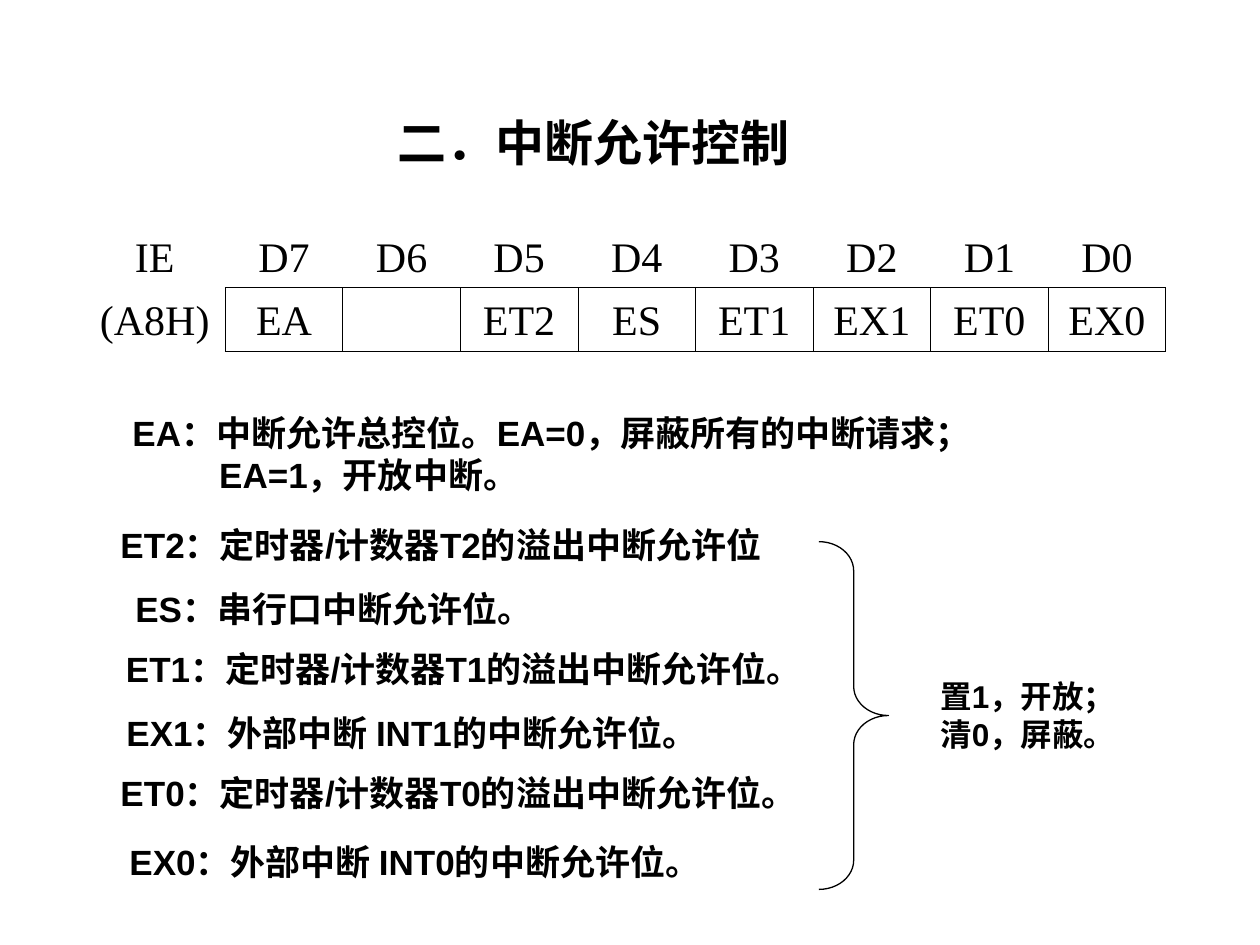
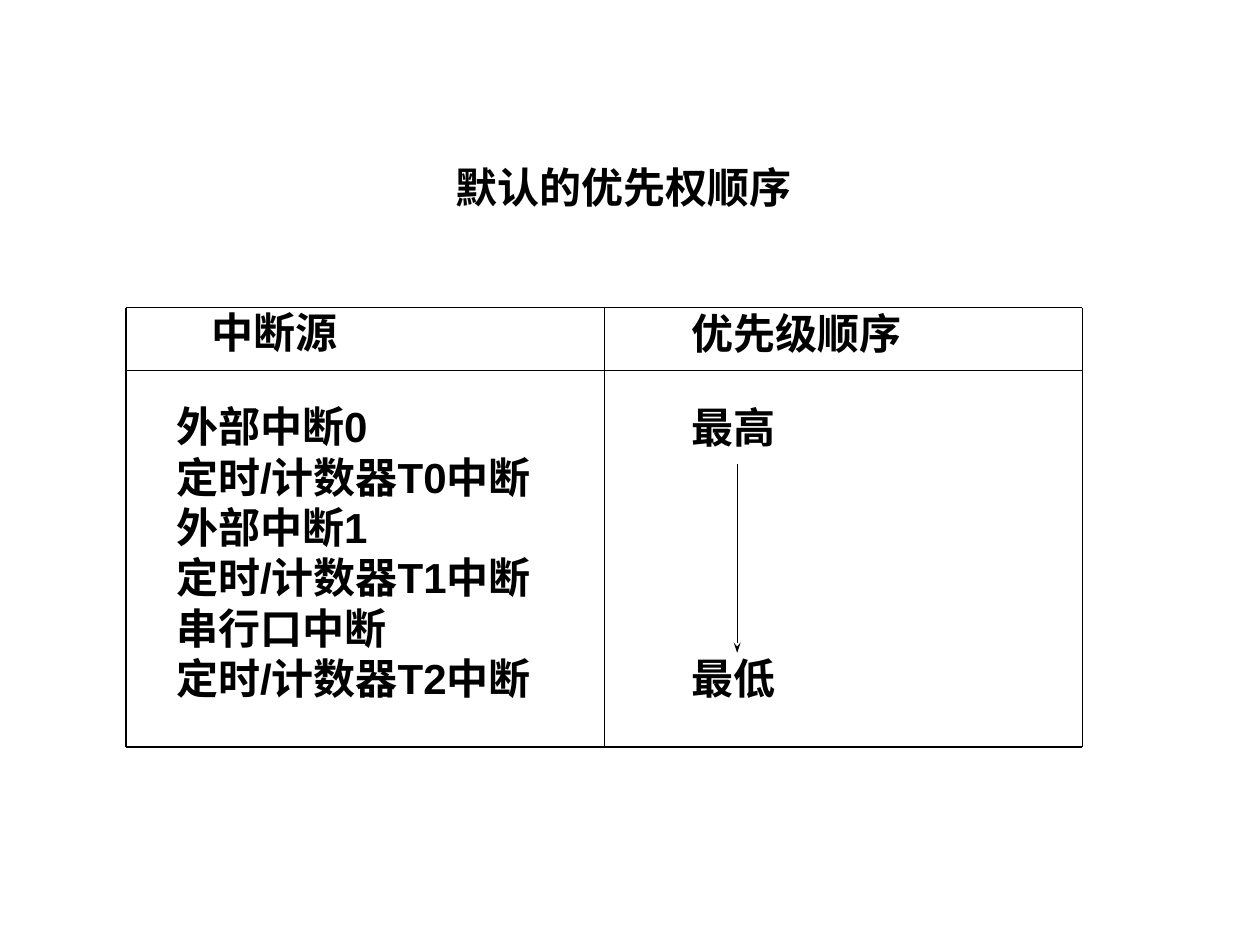
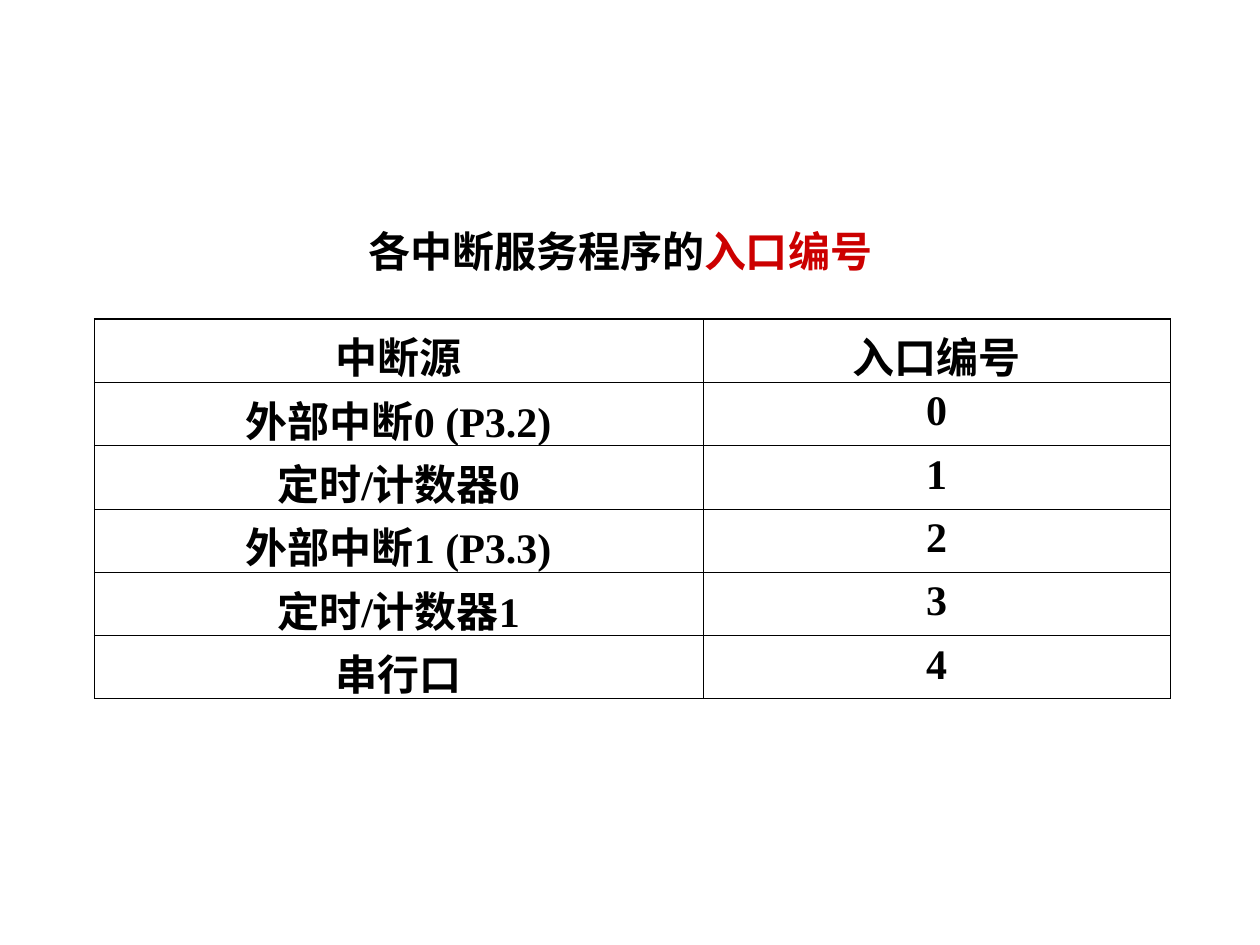
from itertools import pairwise
from lxml.etree import SubElement
from pptx import Presentation
from pptx.dml.color import RGBColor
from pptx.enum.shapes import MSO_CONNECTOR, MSO_SHAPE
from pptx.enum.text import MSO_ANCHOR, MSO_AUTO_SIZE, PP_ALIGN
from pptx.oxml import parse_xml
from pptx.oxml.ns import nsdecls, qn
from pptx.util import Cm, Pt

COLORS = {"ink": "000000", "mark": "CC0000"}
SANS, SERIF = "Arial", "Times New Roman"
PLAIN = "{2D5ABB26-0587-4C30-8999-92F81FD0307C}"
THIN, THICK = 0.45, 0.96

BITS = [
    ["IE", "D7", "D6", "D5", "D4", "D3", "D2", "D1", "D0"],
    ["(A8H)", "EA", "", "ET2", "ES", "ET1", "EX1", "ET0", "EX0"],
]
NOTES = [
    (0, 0, 14.43, "ET2：定时器/计数器T2的溢出中断允许位"),
    (0.3, 1.3, 8.79, "ES：串行口中断允许位。"),
    (0.11, 2.5, 15.14, "ET1：定时器/计数器T1的溢出中断允许位。"),
    (0.12, 3.79, 12.67, "EX1：外部中断 INT1的中断允许位。"),
    (0, 5.01, 15.14, "ET0：定时器/计数器T0的溢出中断允许位。"),
    (0.18, 6.4, 12.67, "EX0：外部中断 INT0的中断允许位。"),
]
ORDER = [
    "外部中断0", "定时/计数器T0中断", "外部中断1",
    "定时/计数器T1中断", "串行口中断", "定时/计数器T2中断",
]
CODES = [
    ["中断源", "入口编号"],
    ["外部中断0 (P3.2)", "0"],
    ["定时/计数器0", "1"],
    ["外部中断1 (P3.3)", "2"],
    ["定时/计数器1", "3"],
    ["串行口", "4"],
]


def shade(name):
    return RGBColor.from_string(COLORS[name])


def style(run, size, face, bold=True, color="ink"):
    font = run.font
    font.size, font.name, font.bold = Pt(size), face, bold
    font.color.rgb = shade(color)


def write(slide, box, text, size, face=SANS, wrap=False, pad=True):
    frame = slide.shapes.add_textbox(*map(Cm, box)).text_frame
    frame.text = text
    frame.word_wrap = wrap
    if pad:
        frame.auto_size = MSO_AUTO_SIZE.SHAPE_TO_FIT_TEXT
        frame.vertical_anchor = MSO_ANCHOR.MIDDLE
    else:
        frame.margin_left = frame.margin_right = 0
        frame.margin_top = frame.margin_bottom = 0
    for para in frame.paragraphs:
        for run in para.runs:
            style(run, size, face)
    return frame


def rule(slide, start, end, arrow=False):
    line = slide.shapes.add_connector(MSO_CONNECTOR.STRAIGHT, *map(Cm, start + end))
    line.line.color.rgb = shade("ink")
    line.line.width = Pt(0.75)
    props = line._element.spPr
    if arrow:
        SubElement(props.find(qn("a:ln")), qn("a:tailEnd"), type="stealth", w="sm")
    SubElement(props, qn("a:effectLst"))


def chain(slide, stops):
    for start, end in pairwise(stops):
        rule(slide, start, end)


def edge(cell, sides):
    props = cell._tc.get_or_add_tcPr()
    for spot, side in enumerate("LRTB"):
        width = sides.get(side, 0)
        fill = (f'<a:solidFill><a:srgbClr val="{COLORS["ink"]}"/></a:solidFill>'
                if width else "<a:noFill/>")
        props.insert(spot, parse_xml(
            f'<a:ln{side} {nsdecls("a")} w="{Pt(width)}">{fill}</a:ln{side}>'))


def grid(slide, box, cols, rows, sides, bold, anchor):
    height = box[3]
    table = slide.shapes.add_table(len(rows), len(cols), *map(Cm, box)).table
    table._tbl.tblPr[0].text = PLAIN
    table.first_row = table.horz_banding = False
    for col, size in zip(table.columns, cols):
        col.width = Cm(size)
    for r, texts in enumerate(rows):
        table.rows[r].height = Cm(height / len(rows))
        for c, text in enumerate(texts):
            cell = table.cell(r, c)
            cell.text = text
            cell.vertical_anchor = anchor
            cell.fill.background()
            edge(cell, sides(r, c))
            para = cell.text_frame.paragraphs[0]
            para.alignment = PP_ALIGN.CENTER
            for run in para.runs:
                style(run, 24, SERIF, bold)


def bit_edge(r, c):
    if r and c:
        return dict.fromkeys("LRTB", THIN)
    if r:
        return {"R": THIN}
    return {"B": THIN} if c else {}


def code_edge(r, c):
    return dict.fromkeys("LRTB", THIN) | {"T": THIN if r else THICK}


def notes(slide, box):
    left, top, width, height = box
    for dx, dy, span, text in NOTES:
        write(slide, (left + dx, top + dy, span, 1.12), text, 20)
    brace = slide.shapes.add_shape(
        MSO_SHAPE.RIGHT_BRACE, Cm(left + 14.33), Cm(top + 0.51), Cm(1.4), Cm(7.01))
    brace.shadow.inherit = False
    brace.adjustments[0] = 0.42
    brace.fill.background()
    brace.line.color.rgb = shade("ink")
    brace.line.width = Pt(0.75)
    write(slide, (left + 16.53, top + 3.12, 4.39, 1.78),
          "置1，开放；\n清0，屏蔽。", 18, wrap=True)


def enable(slide):
    write(slide, (7.77, 2.13, 8.42, 1.45), "二．中断允许控制", 28)
    grid(slide, (1.7, 4.52, 21.8, 2.56), [2.84] + [2.37] * 8, BITS,
         bit_edge, False, MSO_ANCHOR.BOTTOM)
    frame = write(slide, (2.42, 8.16, 19.69, 1.96),
                  "EA：中断允许总控位。EA=0，屏蔽所有的中断请求；EA=1，开放中断。",
                  20, wrap=True)
    props = frame.paragraphs[0]._p.get_or_add_pPr()
    props.set("marL", str(Cm(1.75)))
    props.set("indent", str(Cm(-1.75)))
    notes(slide, (2.18, 10.41, 20.9, 7.52))


def chart(slide, box):
    left, top, width, height = box
    right, base, mid = left + width, top + height, left + width / 2
    for y in (top, top + 1.27):
        rule(slide, (left, y), (right, y))
    for x, turn in ((left, 8.23), (mid, 7.59), (right, 8.23)):
        chain(slide, [(x, y) for y in (top, top + turn, base)])
    chain(slide, [(x, base) for x in (left, left + 0.86, right - 0.86, right)])
    rule(slide, (left + 12.32, top + 3.15), (left + 12.32, top + 6.96), True)
    labels = [(1.73, -0.03, "中断源"), (11.4, 0, "优先级顺序"),
              (11.4, 1.9, "最高"), (11.4, 6.96, "最低")]
    for dx, dy, text in labels:
        write(slide, (left + dx, top + dy, 6.15, 1.24), text, 24, SERIF, True, False)
    write(slide, (left + 0.76, top + 1.75, 8.5, 6.35), "\n".join(ORDER), 24)


def rank(slide):
    write(slide, (8.94, 3.12, 7.3, 1.27), "默认的优先权顺序", 24)
    chart(slide, (2.54, 6.2, 19.28, 8.86))


def entry(slide):
    frame = write(slide, (7.17, 4.32, 10.67, 1.45), "各中断服务程序的", 24, SERIF)
    run = frame.paragraphs[0].add_run()
    run.text = "入口编号"
    style(run, 24, SERIF, color="mark")
    grid(slide, (1.9, 6.43, 21.69, 7.66), [12.27, 9.42], CODES,
         code_edge, True, MSO_ANCHOR.TOP)


def main():
    deck = Presentation()
    deck.slide_width, deck.slide_height = Cm(25.4), Cm(19.05)
    for build in (enable, rank, entry):
        build(deck.slides.add_slide(deck.slide_layouts[6]))
    deck.save("out.pptx")


if __name__ == "__main__":
    main()
